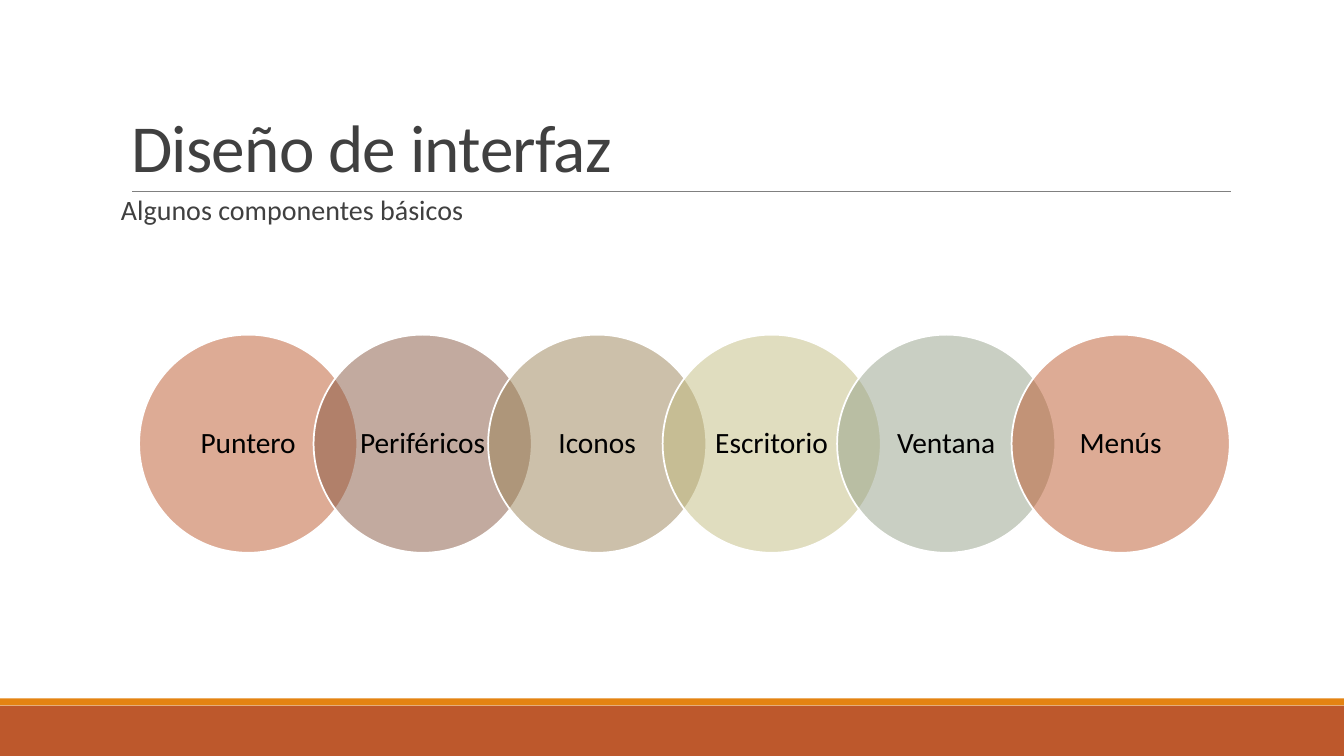
from dataclasses import dataclass
from typing import Optional

from lxml.etree import SubElement
from pptx import Presentation
from pptx.dml.color import RGBColor
from pptx.enum.shapes import MSO_CONNECTOR as Connector, MSO_SHAPE as Shape
from pptx.enum.text import MSO_ANCHOR as Anchor, MSO_AUTO_SIZE as AutoSize, PP_ALIGN as Align
from pptx.oxml.ns import qn
from pptx.util import Inches, Pt

W, H = Inches(40 / 3), Inches(7.5)
FONT = "Calibri"
DARK = "404040"


@dataclass
class Band:
    top: float
    height: float
    color: str


@dataclass
class Component:
    name: str
    color: str


BANDS = [Band(93.33, 6.67, "BD582C"), Band(92.36, 0.96, "E48312")]
COMPONENTS = [
    Component("Puntero", "BD582C"),
    Component("Periféricos", "865640"),
    Component("Iconos", "9B8357"),
    Component("Escritorio", "C2BC80"),
    Component("Ventana", "94A088"),
    Component("Menús", "BD582C"),
]

# Circle row: percent of slide width, each circle overlapping the next by a fifth
DIAMETER = 16.23
STEP = 0.8 * DIAMETER
ROW_LEFT, ROW_TOP = 10.35, 44.27


def px(share: float) -> int:
    """Percent of the slide width."""
    return round(W * share / 100)


def py(share: float) -> int:
    """Percent of the slide height."""
    return round(H * share / 100)


def rgb(color: str) -> RGBColor:
    return RGBColor.from_string(color)


def place(sp, left: float, top: float, width: float, height: float) -> None:
    sp.left, sp.top, sp.width, sp.height = px(left), py(top), px(width), py(height)


def write(sp, text: str, *, size: float, color: str = DARK, align: Align = Align.LEFT,
          anchor: Anchor = Anchor.TOP, leading: float = 0.9, after: float = 0,
          insets: tuple = (0.1, 0.05), spacing: Optional[int] = None) -> None:
    tf = sp.text_frame
    tf.word_wrap, tf.auto_size, tf.vertical_anchor = True, AutoSize.NONE, anchor
    tf.margin_left = tf.margin_right = Inches(insets[0])
    tf.margin_top = tf.margin_bottom = Inches(insets[1])
    p = tf.paragraphs[0]
    pPr = p._p.get_or_add_pPr()
    pPr.set("marL", "0")
    pPr.set("indent", "0")
    SubElement(pPr, qn("a:buNone"))
    p.alignment, p.line_spacing = align, leading
    p.space_before, p.space_after = Pt(0), Pt(after)
    r = p.add_run()
    r.text = text
    r.font.name, r.font.size, r.font.color.rgb = FONT, Pt(size), rgb(color)
    if spacing is not None:
        r._r.get_or_add_rPr().set("spc", str(spacing))


def add_filled(slide, kind: Shape, left: int, top: int, width: int, height: int,
               color: str, alpha: Optional[int] = None):
    sp = slide.shapes.add_shape(kind, left, top, width, height)
    sp.shadow.inherit = False
    sp.fill.solid()
    sp.fill.fore_color.rgb = rgb(color)
    if alpha is not None:
        clr = sp._element.spPr.find(qn("a:solidFill"))[0]
        SubElement(clr, qn("a:alpha")).set("val", str(alpha * 1000))
    sp.line.fill.background()
    return sp


def add_rule(slide, left: float, right: float, top: float) -> None:
    ln = slide.shapes.add_connector(Connector.STRAIGHT, px(left), py(top), px(right), py(top))
    ln.line.color.rgb, ln.line.width = rgb("808080"), Pt(0.5)
    SubElement(ln._element.spPr, qn("a:effectLst"))


def add_component(slide, column: int, item: Component) -> None:
    side = px(DIAMETER)
    sp = add_filled(slide, Shape.OVAL, px(ROW_LEFT + column * STEP), py(ROW_TOP),
                    side, side, item.color, alpha=50)
    sp.line.color.rgb, sp.line.width = rgb("FFFFFF"), Pt(1.25)
    write(sp, item.name, size=21, color="000000", align=Align.CENTER,
          anchor=Anchor.MIDDLE, insets=(0.12, 0.03))


def main() -> None:
    prs = Presentation()
    prs.slide_width, prs.slide_height = W, H
    slide = prs.slides.add_slide(prs.slide_layouts[1])

    # Footer bands and title rule
    for band in BANDS:
        add_filled(slide, Shape.RECTANGLE, 0, py(band.top), W, py(band.height), band.color)
    add_rule(slide, 9.83, 91.58, 25.33)

    # Title and subtitle
    title, body = slide.shapes.title, slide.placeholders[1]
    place(title, 9, 4.13, 82.5, 21.2)
    write(title, "Diseño de interfaz", size=48, anchor=Anchor.BOTTOM, leading=0.85, spacing=-50)
    place(body, 9, 25.33, 82.5, 60.27)
    write(body, "Algunos componentes básicos", size=20, after=2, insets=(0, 0.05))

    # Overlapping circles
    for column, item in enumerate(COMPONENTS):
        add_component(slide, column, item)

    prs.save("out.pptx")


if __name__ == "__main__":
    main()
